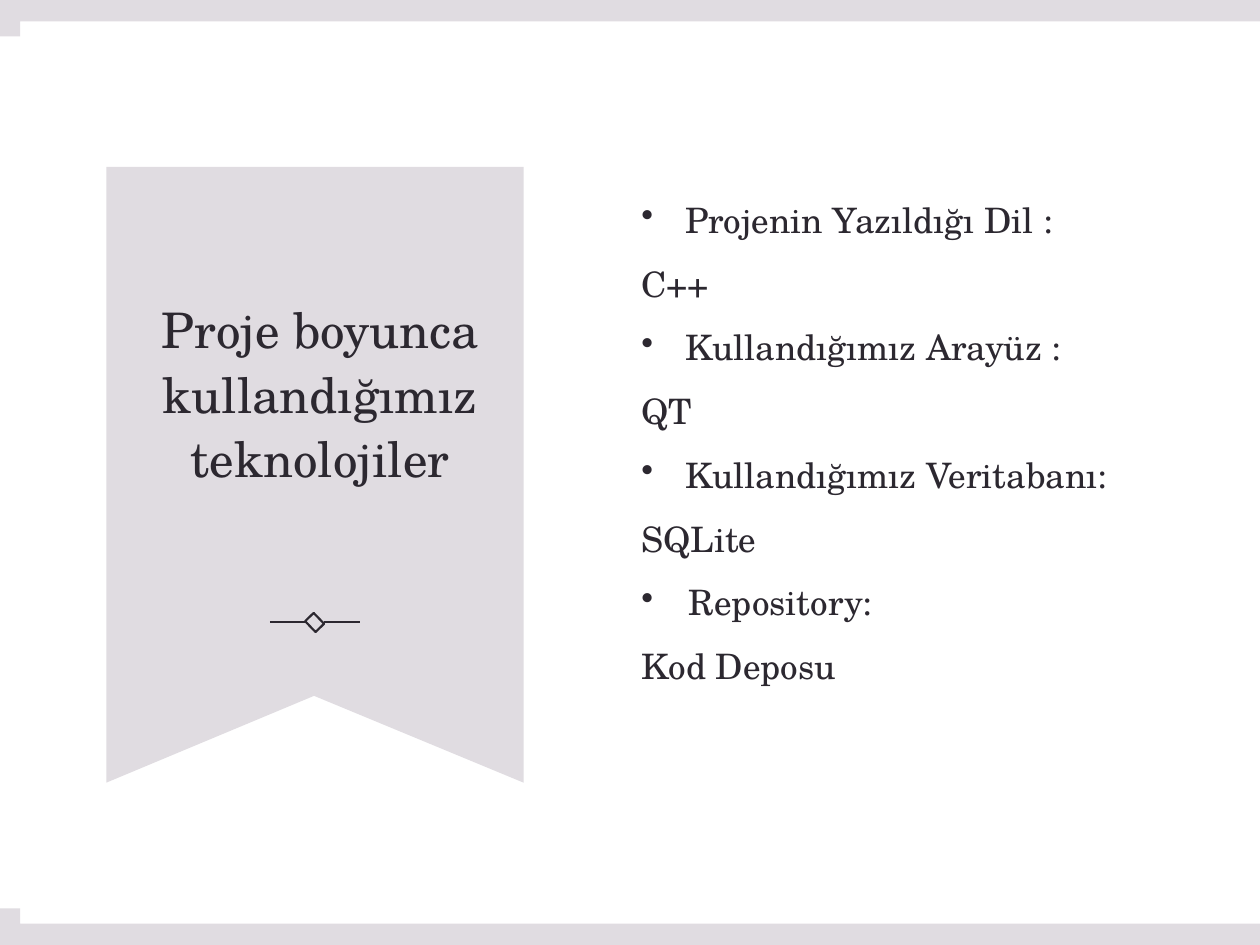
import pptx
import pptx.dml.color
import pptx.enum.shapes
import pptx.enum.text
import pptx.util
from dataclasses import dataclass
from lxml import etree

Pt = pptx.util.Pt
ALIGN = pptx.enum.text.PP_ALIGN


@dataclass(frozen=True)
class Theme:
    ink: pptx.dml.color.RGBColor = pptx.dml.color.RGBColor(0x2C, 0x28, 0x30)
    mauve: pptx.dml.color.RGBColor = pptx.dml.color.RGBColor(0xE0, 0xDC, 0xE1)
    white: pptx.dml.color.RGBColor = pptx.dml.color.RGBColor(0xFF, 0xFF, 0xFF)
    font: str = "TeX Gyre Schola"
    title: float = 28
    body: float = 20
    rule: float = 1.25


theme = Theme()
presentation = pptx.Presentation()
presentation.slide_width, presentation.slide_height = Pt(720), Pt(540)
slide = presentation.slides.add_slide(presentation.slide_layouts[6])
shapes = slide.shapes


def add_outline(points, color):
    corners = [(Pt(x), Pt(y)) for x, y in points]
    builder = shapes.build_freeform(*corners[0], scale=1.0)
    builder.add_line_segments(corners[1:], close=True)
    outline = builder.convert_to_shape()
    outline.shadow.inherit = False
    outline.fill.solid()
    outline.fill.fore_color.rgb = color
    outline.line.fill.background()


def write(frame, text, *, size, align=ALIGN.LEFT, before=0, indent=0, first=False):
    """Add one paragraph; a positive indent makes it a bulleted item."""
    paragraph = frame.paragraphs[0] if first else frame.add_paragraph()
    paragraph.alignment = align
    paragraph.line_spacing = 1.1
    paragraph.space_before = Pt(before)
    run = paragraph.add_run()
    run.text = text
    run.font.name = theme.font
    run.font.size = Pt(size)
    run.font.color.rgb = theme.ink
    if indent:
        properties = paragraph._p.get_or_add_pPr()
        properties.set("marL", str(Pt(indent)))
        properties.set("indent", str(-Pt(indent)))
        etree.SubElement(properties, pptx.oxml.ns.qn("a:buChar"), char="•")


# Frame along the top, left and bottom edges, with the white page over it
add_outline([(0, 0), (720, 0), (720, 12.2), (11.6, 12.2),
             (11.6, 527.8), (720, 527.8), (720, 540), (0, 540)], theme.mauve)
page = shapes.add_shape(pptx.enum.shapes.MSO_SHAPE.RECTANGLE,
                        Pt(0), Pt(20.8), Pt(720), Pt(498.4))
page.shadow.inherit = False
page.fill.solid()
page.fill.fore_color.rgb = theme.white
page.line.fill.background()

# Ribbon with a notched foot
add_outline([(60.8, 95.4), (299.2, 95.4), (299.2, 447.2),
             (179.5, 397.6), (60.8, 447.2)], theme.mauve)

# Ornament: a diamond between two short rules
diamond = shapes.add_shape(pptx.enum.shapes.MSO_SHAPE.RECTANGLE,
                           Pt(176.4), Pt(351.4), Pt(6.8), Pt(8.6))
diamond.rotation = 316.1
diamond.shadow.inherit = False
diamond.fill.background()
diamond.line.color.rgb = theme.ink
diamond.line.width = Pt(theme.rule)
for start, end in [(154.2, 174.8), (185.2, 205.8)]:
    rule = shapes.add_connector(pptx.enum.shapes.MSO_CONNECTOR.STRAIGHT,
                                Pt(start), Pt(355.6), Pt(end), Pt(355.6))
    rule.line.color.rgb = theme.ink
    rule.line.width = Pt(theme.rule)
    etree.SubElement(rule._element.spPr, pptx.oxml.ns.qn("a:effectLst"))

# Title
title = shapes.add_textbox(Pt(83.5), Pt(118.8), Pt(198.7), Pt(208.8)).text_frame
title.word_wrap = True
title.vertical_anchor = pptx.enum.text.MSO_ANCHOR.MIDDLE
write(title, "Proje boyunca kullandığımız teknolojiler",
      size=theme.title, align=ALIGN.CENTER, first=True)

# Technologies: a bulleted topic, then the choice made
technologies = [
    ("Projenin Yazıldığı Dil :", "C++", 25),
    ("Kullandığımız Arayüz :", "QT", 25),
    ("Kullandığımız Veritabanı:", "SQLite", 25),
    ("Repository:", "Kod Deposu", 27),
]
body = shapes.add_textbox(Pt(360), Pt(73.4), Pt(297.4), Pt(356.6)).text_frame
body.word_wrap = True
body.vertical_anchor = pptx.enum.text.MSO_ANCHOR.MIDDLE
body.margin_left = body.margin_right = Pt(6.5)
for number, (topic, choice, indent) in enumerate(technologies):
    write(body, topic, size=theme.body, before=10, indent=indent, first=number == 0)
    write(body, choice, size=theme.body, before=10)

presentation.save("out.pptx")
